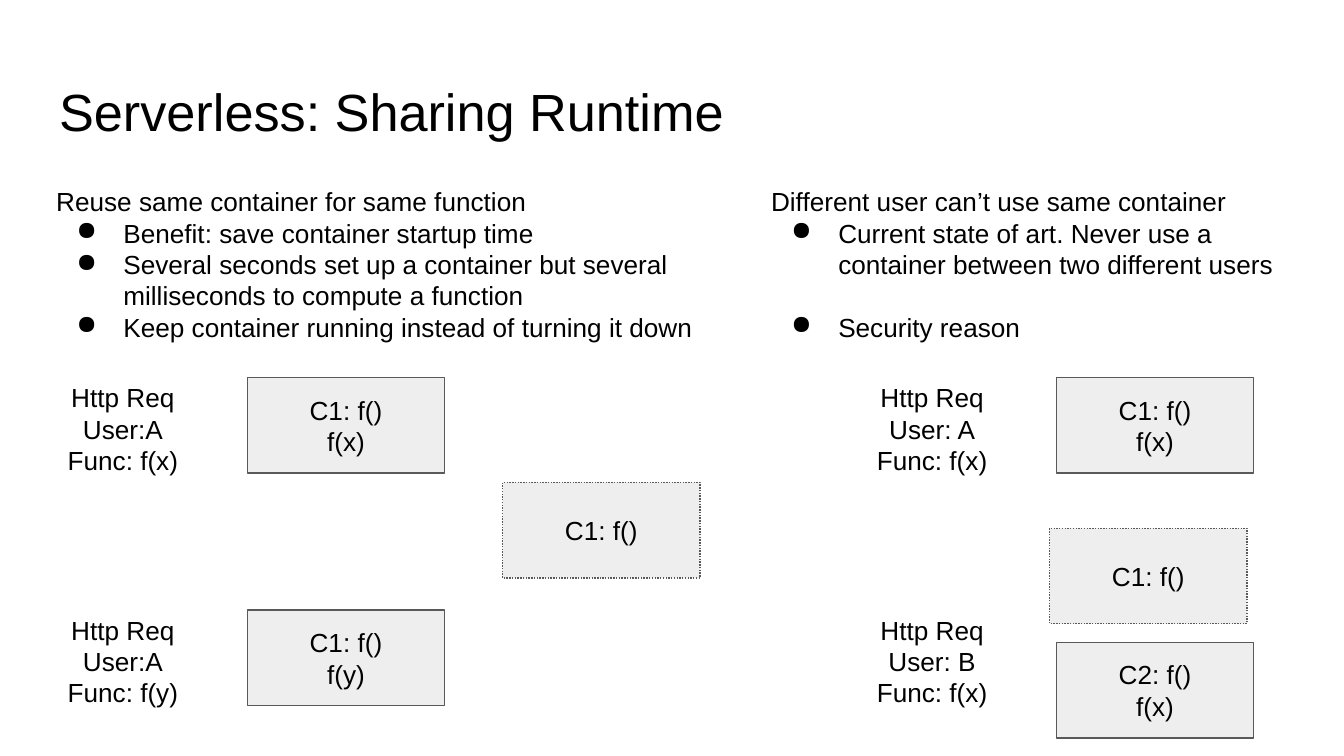
"""Build the slide on sharing a serverless runtime between requests."""
from dataclasses import dataclass

from lxml import etree
from pptx import Presentation
from pptx import util as u
from pptx.dml.color import RGBColor
from pptx.enum import dml, text
from pptx.enum import shapes as s
from pptx.oxml import ns


@dataclass(frozen=True)
class Theme:
    """Colours, type sizes and spacing of the slide."""

    ink: str = "000000"
    fill: str = "EEEEEE"
    border: str = "595959"
    font: str = "Arial"
    title: float = 28
    body: float = 14
    inset: float = 7.2
    indent: float = 36
    hanging: float = 25.2
    border_width: float = 0.75


THEME = Theme()
CONTAINER_SIZE = (105.8, 51.1)
REQUEST_SIZE = (101.5, 60.5)

REUSE = [
    "Reuse same container for same function",
    "Benefit: save container startup time",
    "Several seconds set up a container but several milliseconds to compute a function",
    "Keep container running instead of turning it down",
]
ISOLATION = [
    "Different user can’t use same container",
    "Current state of art. Never use a container between two different users",
    "Security reason",
]
REQUESTS = [
    (15.1, 197.3, "User:A", "f(x)"),
    (15.1, 321.8, "User:A", "f(y)"),
    (448.6, 197.3, "User: A", "f(x)"),
    (448.6, 321.8, "User: B", "f(x)"),
]
RUNNING = [
    (132.5, 202.3, ["C1: f()", "f(x)"]),
    (132.5, 326.9, ["C1: f()", "f(y)"]),
    (565.9, 202.3, ["C1: f()", "f(x)"]),
    (565.9, 344.2, ["C2: f()", "f(x)"]),
]
IDLE = [(269.3, 258.5, ["C1: f()"]), (562.3, 283, ["C1: f()"])]


def points(*lengths):
    """Convert numbers to point lengths."""
    return [u.Pt(length) for length in lengths]


def apply(target, formats):
    """Set each named format value on the target."""
    for name, value in formats.items():
        setattr(target, name, value)


def write(frame, lines, size=THEME.body, align=text.PP_ALIGN.LEFT, anchor=text.MSO_ANCHOR.TOP):
    """Fill a text frame with one paragraph per line and return the paragraphs."""
    margins = ("margin_left", "margin_top", "margin_right", "margin_bottom")
    apply(frame, dict.fromkeys(margins, u.Pt(THEME.inset)))
    apply(frame, {"word_wrap": True, "auto_size": text.MSO_AUTO_SIZE.NONE, "vertical_anchor": anchor})
    for index, line in enumerate(lines):
        paragraph = frame.paragraphs[0] if index == 0 else frame.add_paragraph()
        paragraph.alignment = align
        run = paragraph.add_run()
        run.text = line
        apply(run.font, {"name": THEME.font, "size": u.Pt(size)})
        run.font.color.rgb = RGBColor.from_string(THEME.ink)
    return frame.paragraphs


def add_bullet(paragraph):
    """Give a paragraph a round bullet with a hanging indent."""
    properties = paragraph._p.get_or_add_pPr()
    properties.set("marL", str(u.Pt(THEME.indent)))
    properties.set("indent", str(-u.Pt(THEME.hanging)))
    colour = etree.SubElement(properties, ns.qn("a:buClr"))
    etree.SubElement(colour, ns.qn("a:srgbClr"), val=THEME.ink)
    etree.SubElement(properties, ns.qn("a:buChar"), char="●")


def add_title(slide, title):
    """Place and format the title placeholder."""
    heading = slide.shapes.title
    left, top, width, height = points(24.5, 35.3, 671, 45.4)
    apply(heading, {"left": left, "top": top, "width": width, "height": height})
    write(heading.text_frame, [title], THEME.title)


def add_points(slide, bounds, lines):
    """Add a lead line followed by bullets and return the paragraphs."""
    box = slide.shapes.add_textbox(*points(*bounds))
    paragraphs = write(box.text_frame, lines)
    for paragraph in paragraphs[1:]:
        add_bullet(paragraph)
    return paragraphs


def add_request(slide, left, top, user, function):
    """Add the label of one incoming request."""
    label = slide.shapes.add_textbox(*points(left, top, *REQUEST_SIZE))
    write(label.text_frame, ["Http Req", user, f"Func: {function}"], align=text.PP_ALIGN.CENTER)


def add_container(slide, left, top, lines, dash=None):
    """Add a container box, with a dashed border when it is idle."""
    container = slide.shapes.add_shape(s.MSO_SHAPE.RECTANGLE, *points(left, top, *CONTAINER_SIZE))
    container.shadow.inherit = False
    container.fill.solid()
    container.fill.fore_color.rgb = RGBColor.from_string(THEME.fill)
    container.line.color.rgb = RGBColor.from_string(THEME.border)
    apply(container.line, {"width": u.Pt(THEME.border_width), "dash_style": dash})
    write(container.text_frame, lines, align=text.PP_ALIGN.CENTER, anchor=text.MSO_ANCHOR.MIDDLE)


def main():
    """Build and save the slide."""
    deck = Presentation()
    apply(deck, {"slide_width": u.Pt(720), "slide_height": u.Pt(405)})
    slide = deck.slides.add_slide(deck.slide_layouts[5])
    add_title(slide, "Serverless: Sharing Runtime")
    add_points(slide, (23, 92.2, 365.8, 104.4), REUSE)
    security = add_points(slide, (406, 92.2, 296, 110.9), ISOLATION)[-1]
    security.space_before = u.Pt(16.8)
    for request in REQUESTS:
        add_request(slide, *request)
    for container in RUNNING:
        add_container(slide, *container)
    for container in IDLE:
        add_container(slide, *container, dash=dml.MSO_LINE.ROUND_DOT)
    deck.save("out.pptx")


if __name__ == "__main__":
    main()
